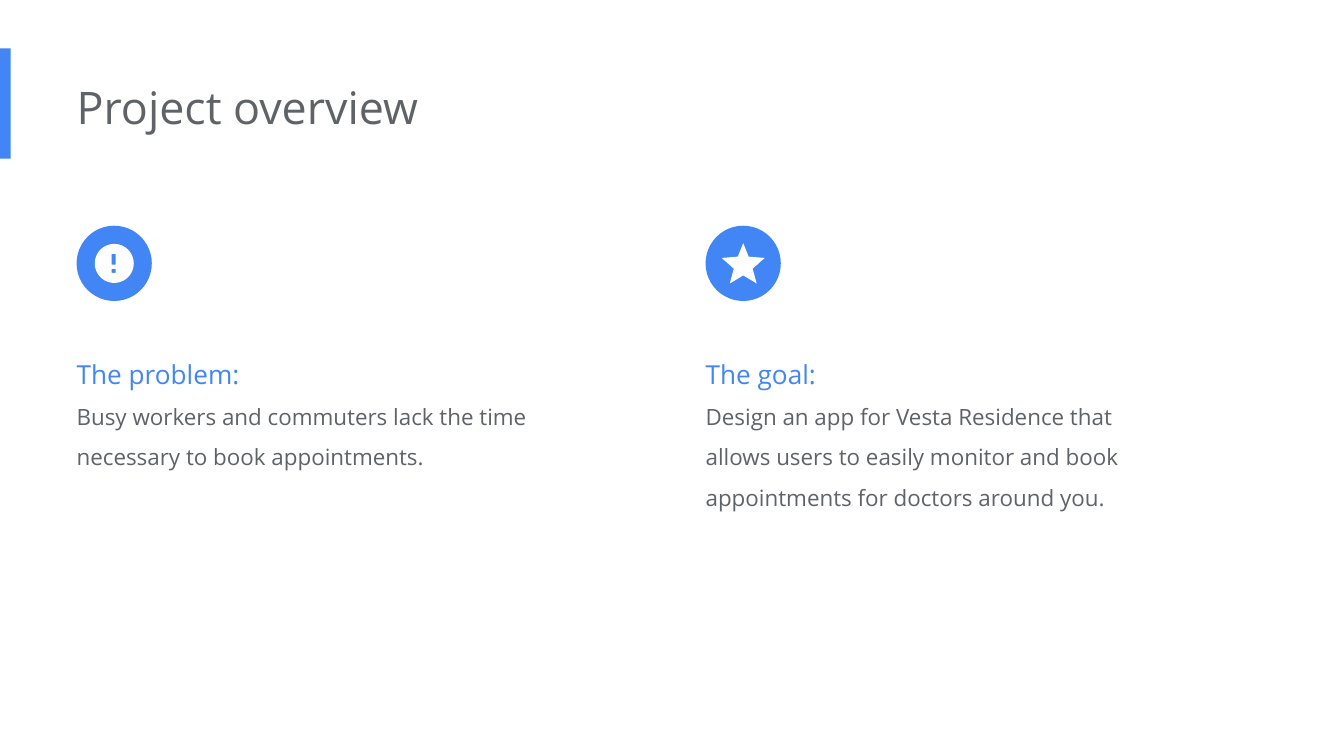
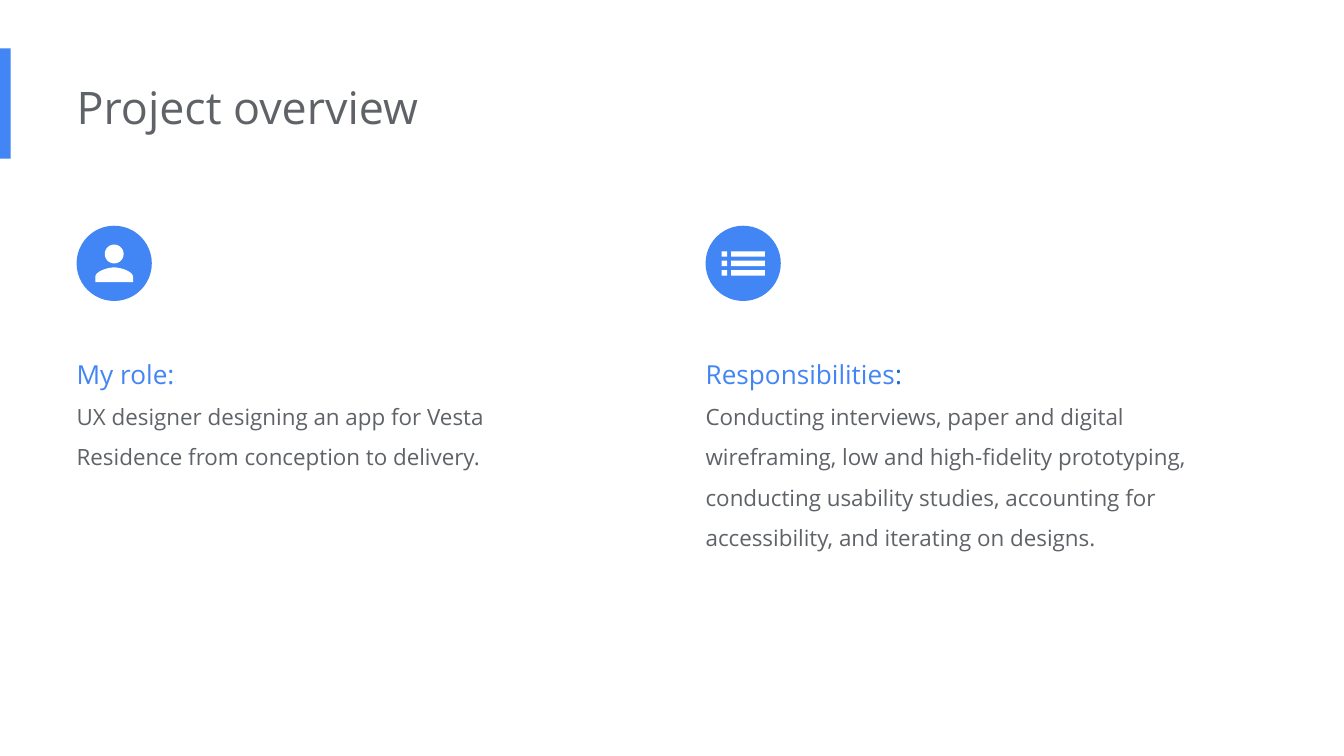
import math
from dataclasses import dataclass
from typing import Any, Callable

from lxml import etree
from pptx import Presentation
from pptx.dml.color import RGBColor
from pptx.enum import shapes as kinds, text as txt
from pptx.oxml import ns
from pptx import util as u

Point = tuple[float, float]
Contour = list[Point]


@dataclass(frozen=True)
class Theme:
    font: str = "Open Sans"
    blue: str = "4285F4"
    dark_blue: str = "1967D2"
    grey: str = "5F6368"
    white: str = "FFFFFF"
    title_size: int = 24
    heading_size: int = 14
    body_size: int = 12


@dataclass(frozen=True)
class Words:
    text: str
    size: int
    color: str


@dataclass(frozen=True)
class Column:
    heading: list[Words]
    body: str
    icon: Callable[[], list[Contour]]
    height: float
    width: float = 3.77


THEME = Theme()
TITLE = "Project overview"
SLIDE_WIDTH = 10
SLIDE_HEIGHT = SLIDE_WIDTH * 9 / 16
COLUMN_LEFTS = (0.57, 5.25)
BADGE_TOP, BADGE_SIZE = 1.68, 0.56
TEXT_TOP = 2.45
FRAME_FORMAT = {
    "margin_left": 0,
    "margin_top": u.Inches(0.1),
    "margin_right": u.Inches(0.1),
    "margin_bottom": u.Inches(0.1),
    "word_wrap": True,
    "vertical_anchor": txt.MSO_ANCHOR.TOP,
    "auto_size": txt.MSO_AUTO_SIZE.SHAPE_TO_FIT_TEXT,
}


# Icon outlines, in inches from the middle of the badge
def box(left: float, top: float, width: float, height: float) -> Contour:
    right, bottom = left + width, top + height
    return [(left, top), (right, top), (right, bottom), (left, bottom)]


def disc(diameter: float, middle: float = 0, steps: int = 72) -> Contour:
    angles = (math.tau * i / steps for i in range(steps))
    return [(diameter / 2 * math.cos(a), middle + diameter / 2 * math.sin(a))
            for a in angles]


def curve(a: Point, b: Point, c: Point, d: Point, steps: int = 20) -> Contour:
    """Points along a cubic Bezier curve."""
    def at(t: float, axis: int) -> float:
        s = 1 - t
        return (s**3 * a[axis] + 3 * s * s * t * b[axis]
                + 3 * s * t * t * c[axis] + t**3 * d[axis])
    return [(at(i / steps, 0), at(i / steps, 1)) for i in range(steps + 1)]


def mirrored(half: Contour) -> Contour:
    return half + [(-x, y) for x, y in reversed(half)]


def alert_icon() -> list[Contour]:
    return [disc(0.29), box(-0.02, -0.07, 0.03, 0.08), box(-0.02, 0.04, 0.03, 0.03)]


def star_icon() -> list[Contour]:
    return [mirrored([(0, -0.15), (0.04, -0.05), (0.16, -0.04),
                      (0.07, 0.04), (0.1, 0.15), (0, 0.09)])]


def person_icon() -> list[Contour]:
    shoulder = curve((0.14, 0.1), (0.14, 0.06), (0.05, 0.03), (0, 0.03))
    return [disc(0.14, -0.07), mirrored([(0.14, 0.14)] + shoulder)]


def list_icon() -> list[Contour]:
    return [box(left, -0.09 + 0.07 * row, width, 0.04)
            for row in range(3) for left, width in ((-0.16, 0.04), (-0.09, 0.25))]


# Drawing
def apply(target: Any, formats: dict[str, Any]) -> None:
    for name, value in formats.items():
        setattr(target, name, value)


def paint(shape: Any, color: str) -> None:
    shape.shadow.inherit = False
    shape.fill.solid()
    shape.fill.fore_color.rgb = RGBColor.from_string(color)
    shape.line.fill.background()


def place(shape: Any, left: float, top: float, width: float, height: float) -> None:
    apply(shape, {"left": u.Inches(left), "top": u.Inches(top),
                  "width": u.Inches(width), "height": u.Inches(height)})


def write(holder: Any, paragraphs: list[list[Words]], spacing: float) -> None:
    frame = holder.text_frame
    apply(frame, FRAME_FORMAT)
    for i, words in enumerate(paragraphs):
        paragraph = frame.add_paragraph() if i else frame.paragraphs[0]
        props = paragraph._p.get_or_add_pPr()
        props.set("marL", "0")
        props.set("indent", "0")
        etree.SubElement(props, ns.qn("a:buNone"))
        apply(paragraph, {"alignment": txt.PP_ALIGN.LEFT, "line_spacing": spacing,
                          "space_before": u.Pt(0)})
        for part in words:
            run = paragraph.add_run()
            run.text = part.text
            apply(run.font, {"name": THEME.font, "size": u.Pt(part.size)})
            run.font.color.rgb = RGBColor.from_string(part.color)


def draw_badge(slide: Any, left: float, contours: list[Contour]) -> None:
    size = u.Inches(BADGE_SIZE)
    badge = slide.shapes.add_shape(kinds.MSO_SHAPE.OVAL, u.Inches(left),
                                   u.Inches(BADGE_TOP), size, size)
    paint(badge, THEME.blue)
    mid_x, mid_y = left + BADGE_SIZE / 2, BADGE_TOP + BADGE_SIZE / 2
    outlines = [[(u.Inches(mid_x + x), u.Inches(mid_y + y)) for x, y in contour]
                for contour in contours]
    builder = slide.shapes.build_freeform(*outlines[0][0])
    for i, outline in enumerate(outlines):
        if i:
            builder.move_to(*outline[0])
        builder.add_line_segments(outline[1:], close=True)
    paint(builder.convert_to_shape(), THEME.white)


def add_layout_band(layout: Any, slide: Any) -> None:
    """Draw the accent band and move it to the layout that all slides share."""
    band = slide.shapes.add_shape(kinds.MSO_SHAPE.RECTANGLE, 0, u.Inches(0.36),
                                  u.Inches(0.08), u.Inches(0.82))
    paint(band, THEME.blue)
    band.element.xpath(".//p:cNvPr")[0].set("id", "100")
    layout.shapes.element.append(band.element)


def draw_slide(slide: Any, columns: list[Column]) -> None:
    title, *bodies = slide.placeholders
    place(title, 0.57, 0.49, 6.73, 0.61)
    write(title, [[Words(TITLE, THEME.title_size, THEME.grey)]], 1.0)
    for left, body, column in zip(COLUMN_LEFTS, bodies, columns):
        place(body, left, TEXT_TOP, column.width, column.height)
        detail = Words(column.body, THEME.body_size, THEME.grey)
        write(body, [column.heading, [detail]], 1.5)
        draw_badge(slide, left, column.icon())


def heading(text: str, color: str = THEME.blue) -> Words:
    return Words(text, THEME.heading_size, color)


# Content
SLIDES = [
    [
        Column([heading("The problem:")],
               "Busy workers and commuters lack the time necessary to book "
               "appointments.", alert_icon, 1.16),
        Column([heading("The goal:")],
               "Design an app for Vesta Residence that allows users to easily "
               "monitor and book appointments for doctors around you.",
               star_icon, 1.46, 3.58),
    ],
    [
        Column([heading("My role:")],
               "UX designer designing an app for Vesta Residence from conception "
               "to delivery.", person_icon, 1.16),
        Column([heading("Responsibilities"), heading(":", THEME.dark_blue)],
               "Conducting interviews, paper and digital wireframing, low and "
               "high-fidelity prototyping, conducting usability studies, "
               "accounting for accessibility, and iterating on designs.",
               list_icon, 1.67),
    ],
]


def main() -> None:
    deck = Presentation()
    apply(deck, {"slide_width": u.Inches(SLIDE_WIDTH),
                 "slide_height": u.Inches(SLIDE_HEIGHT)})
    layout = deck.slide_layouts.get_by_name("Two Content")
    for number, columns in enumerate(SLIDES):
        slide = deck.slides.add_slide(layout)
        if number == 0:
            add_layout_band(layout, slide)
        draw_slide(slide, columns)
    deck.save("out.pptx")


if __name__ == "__main__":
    main()
